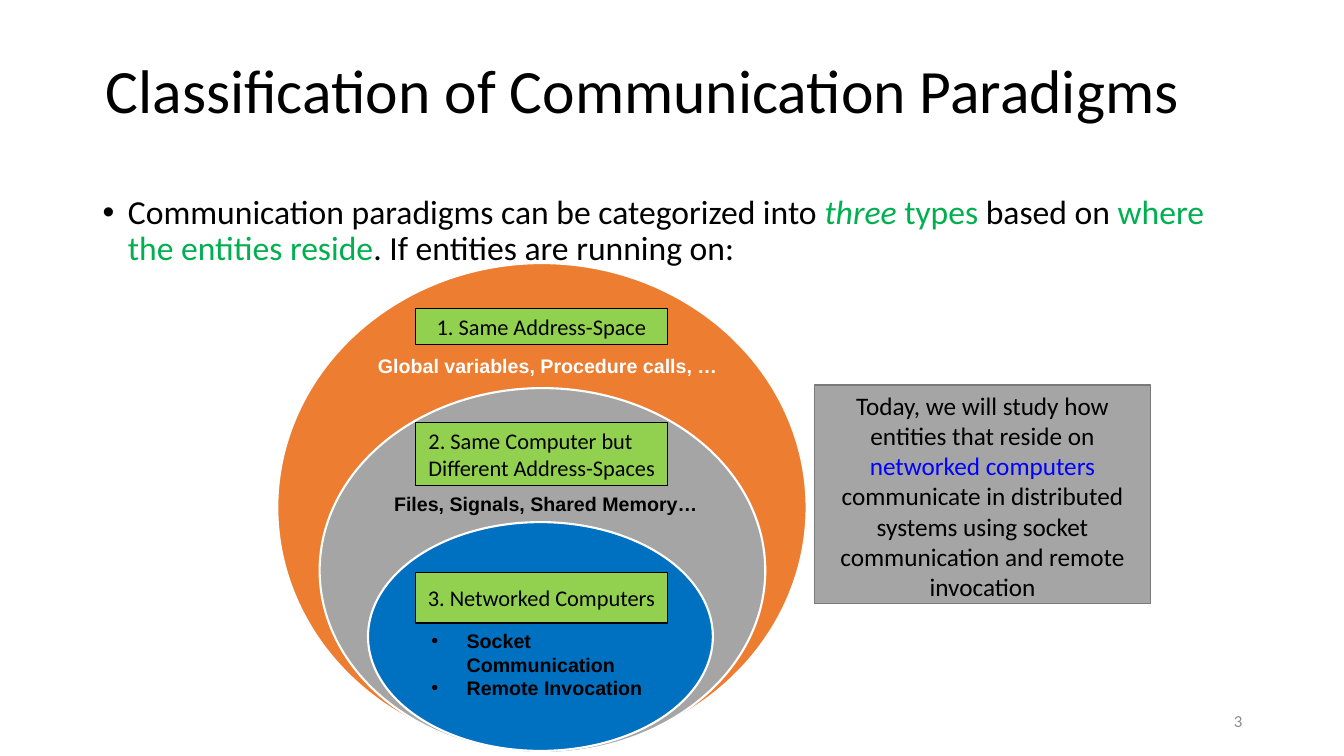
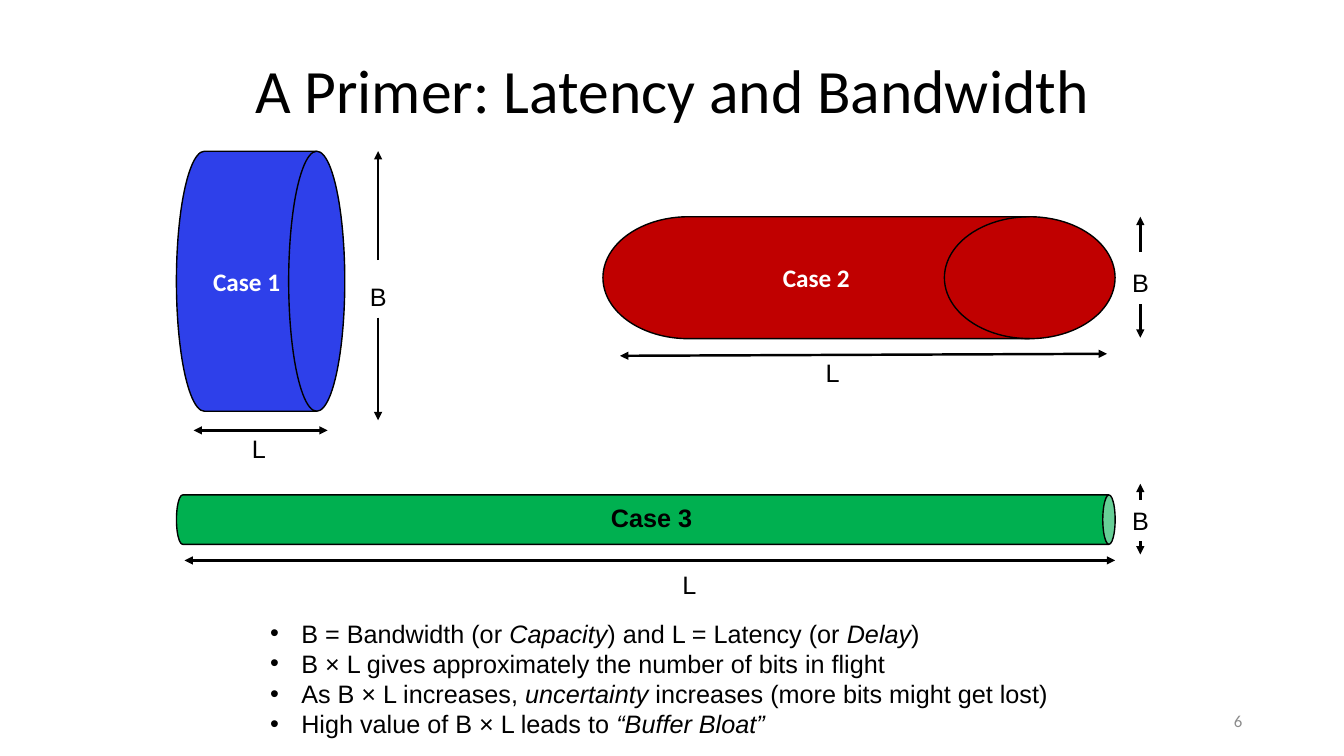
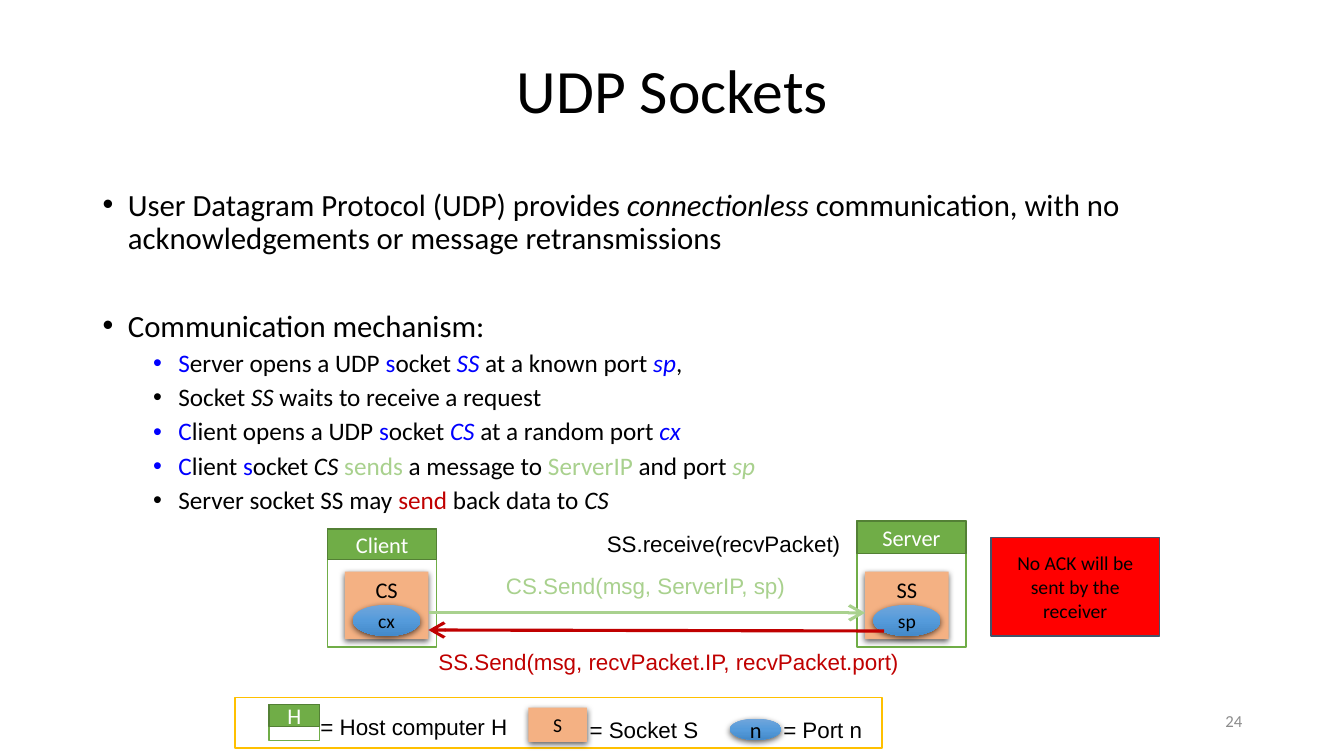
from dataclasses import dataclass
from typing import NamedTuple, Optional

from lxml import etree
from pptx import Presentation
from pptx.dml.color import RGBColor
from pptx.enum.shapes import MSO_CONNECTOR, MSO_SHAPE
from pptx.enum.text import MSO_ANCHOR, MSO_AUTO_SIZE, PP_ALIGN
from pptx.oxml.ns import qn
from pptx.shapes.autoshape import Shape
from pptx.slide import Slide
from pptx.util import Inches, Pt

RECT, OVAL = MSO_SHAPE.RECTANGLE, MSO_SHAPE.OVAL
CAN, DRUM = MSO_SHAPE.CAN, MSO_SHAPE.FLOWCHART_DIRECT_ACCESS_STORAGE
LEFT, CENTER, RIGHT = PP_ALIGN.LEFT, PP_ALIGN.CENTER, PP_ALIGN.RIGHT
TOP, MIDDLE = MSO_ANCHOR.TOP, MSO_ANCHOR.MIDDLE
TITLE_ONLY = 5


@dataclass(frozen=True)
class Theme:
    body_font: str = "Calibri"
    label_font: str = "Arial"
    black: str = "000000"
    white: str = "FFFFFF"
    page_gray: str = "8C8C8C"
    orange: str = "ED7D31"
    gray: str = "A5A5A5"
    gray_edge: str = "7A7A7A"
    ocean: str = "0070C0"
    tag_green: str = "92D050"
    green: str = "00B050"
    link_blue: str = "0000FF"
    drum_blue: str = "2E40EA"
    dark_red: str = "C00000"
    red: str = "FF0000"
    slate: str = "44546A"
    host: str = "70AD47"
    host_edge: str = "538035"
    pale_green: str = "A9D18E"
    peach: str = "F4B183"
    gold: str = "FFC000"
    port_stops: tuple = ((0, "71A6DB"), (50, "559BDB"), (100, "448ACA"))
    title: float = 44
    lead: float = 24
    body: float = 22
    text: float = 18
    label: float = 16
    small: float = 14
    page: float = 12


T = Theme()


class Box(NamedTuple):
    x: float
    y: float
    w: float
    h: float


class Run(NamedTuple):
    text: str
    color: Optional[str] = None
    italic: bool = False


class Para(NamedTuple):
    runs: tuple
    margin: float = 0  # hanging indent of a bullet, in inches
    hang: float = 0
    before: float = 0
    spacing: float = 1
    size: Optional[float] = None


class Style(NamedTuple):
    size: float
    color: str = T.black
    font: str = T.body_font
    bold: bool = False
    align: PP_ALIGN = CENTER
    anchor: MSO_ANCHOR = MIDDLE
    left_inset: float = 0.1
    right_inset: float = 0.1


class Ring(NamedTuple):
    box: Box
    fill: str


class Span(NamedTuple):
    """A horizontal latency arrow with its label."""
    x1: float
    y1: float
    x2: float
    y2: float
    label_x: float
    label_y: float


class Gauge(NamedTuple):
    """A vertical bandwidth arrow, split around its label."""
    x: float
    top: float
    gap_top: float
    gap_bottom: float
    bottom: float
    label_y: float


TAG = Style(T.label, left_inset=0, right_inset=0)
CASE = Style(T.text, T.white, bold=True, left_inset=0, right_inset=0)
LETTER = Style(T.text, font=T.label_font, align=LEFT, anchor=TOP)
CALL = LETTER._replace(size=T.label)
METHOD = LETTER._replace(size=T.small, bold=True)
BODY = Style(T.body, align=LEFT, anchor=TOP)


def plain(text: str) -> list[Para]:
    return [Para((Run(text),))]


def bullet(*runs: Run, margin: float = 0.25, hang: float = 0.25, before: float = 0,
           spacing: float = 0.9, size: Optional[float] = None) -> Para:
    return Para(runs, margin, hang, before, spacing, size)


def write(sp: Shape, paras: list[Para], style: Style, wrap: bool = True) -> None:
    tf = sp.text_frame
    tf.word_wrap = wrap
    tf.auto_size = MSO_AUTO_SIZE.NONE
    tf.vertical_anchor = style.anchor
    tf.margin_left = Inches(style.left_inset)
    tf.margin_right = Inches(style.right_inset)
    tf.margin_top = tf.margin_bottom = Inches(0.05)
    for i, para in enumerate(paras):
        p = tf.paragraphs[0] if i == 0 else tf.add_paragraph()
        p.alignment = style.align
        p.line_spacing = para.spacing
        p.space_before = Pt(para.before)
        if para.hang:
            pPr = p._p.get_or_add_pPr()
            pPr.set("marL", str(Inches(para.margin)))
            pPr.set("indent", str(-Inches(para.hang)))
            etree.SubElement(pPr, qn("a:buFont"), typeface="Arial")
            etree.SubElement(pPr, qn("a:buChar"), char="•")
        for run in para.runs:
            r = p.add_run()
            r.text = run.text
            r.font.size = Pt(para.size or style.size)
            r.font.name = style.font
            r.font.bold = style.bold
            r.font.italic = run.italic
            r.font.color.rgb = RGBColor.from_string(run.color or style.color)


def add_text(s: Slide, box: Box, paras: list[Para], style: Style, wrap: bool = True) -> None:
    sp = s.shapes.add_textbox(*map(Inches, box))
    write(sp, paras, style, wrap)


def add_shape(s: Slide, kind: MSO_SHAPE, box: Box, fill: Optional[str] = None,
              line: Optional[str] = None, width: float = 1) -> Shape:
    sp = s.shapes.add_shape(kind, *map(Inches, box))
    sp.shadow.inherit = False
    if fill:
        sp.fill.solid()
        sp.fill.fore_color.rgb = RGBColor.from_string(fill)
    if line:
        sp.line.color.rgb = RGBColor.from_string(line)
        sp.line.width = Pt(width)
    else:
        sp.line.fill.background()
    return sp


def drop_shadow(sp: Shape) -> None:
    effects = sp._element.spPr.find(qn("a:effectLst"))
    shadow = etree.SubElement(effects, qn("a:outerShdw"), blurRad=str(Pt(4.5)),
                              dist=str(Pt(1.5)), dir="5400000", rotWithShape="0")
    color = etree.SubElement(shadow, qn("a:srgbClr"), val=T.black)
    etree.SubElement(color, qn("a:alpha"), val="63000")


def add_arrow(s: Slide, x1: float, y1: float, x2: float, y2: float, color: str = T.black,
              width: float = 1.75, end: str = "triangle", size: str = "med",
              both: bool = False) -> None:
    cn = s.shapes.add_connector(MSO_CONNECTOR.STRAIGHT, *map(Inches, (x1, y1, x2, y2)))
    cn.line.color.rgb = RGBColor.from_string(color)
    cn.line.width = Pt(width)
    ln = cn.line._get_or_add_ln()
    for tag in ("a:headEnd", "a:tailEnd") if both else ("a:tailEnd",):
        etree.SubElement(ln, qn(tag), type=end, w=size, len=size)
    etree.SubElement(cn._element.spPr, qn("a:effectLst"))


def new_slide(prs: Presentation, title: str, number: int,
              box: Box = Box(2.17, 0.35, 9, 1.15)) -> Slide:
    s = prs.slides.add_slide(prs.slide_layouts[TITLE_ONLY])
    sp = s.shapes.title
    sp.left, sp.top, sp.width, sp.height = map(Inches, box)
    write(sp, [Para((Run(title),), spacing=0.9)], Style(T.title))
    add_text(s, Box(9.42, 6.95, 3, 0.4), plain(str(number)),
             Style(T.page, T.page_gray, align=RIGHT))
    return s


def add_host(s: Slide, box: Box, bar_height: float, name: str) -> None:
    add_shape(s, RECT, box, T.white, T.host)
    bar = add_shape(s, RECT, box._replace(h=bar_height), T.host, T.host_edge)
    write(bar, plain(name), Style(T.label, T.white))


def add_socket(s: Slide, box: Box, name: str, size: float = T.label) -> None:
    sp = add_shape(s, RECT, box, T.peach)
    drop_shadow(sp)
    write(sp, plain(name), Style(size, anchor=TOP))


def add_port(s: Slide, box: Box, name: str, size: float = T.small) -> None:
    sp = add_shape(s, OVAL, box)
    sp.fill.gradient()
    sp.fill.gradient_angle = 270
    stops = sp._element.spPr.find(qn("a:gradFill")).find(qn("a:gsLst"))
    for stop in list(stops):
        stops.remove(stop)
    for position, color in T.port_stops:
        stop = etree.SubElement(stops, qn("a:gs"), pos=str(position * 1000))
        etree.SubElement(stop, qn("a:srgbClr"), val=color)
    drop_shadow(sp)
    write(sp, plain(name), Style(size))


def paradigms_slide(prs: Presentation) -> None:
    s = new_slide(prs, "Classification of Communication Paradigms", 3,
                  Box(0.92, 0.35, 10.91, 1.15))
    rings = [
        Ring(Box(2.75, 2.61, 5.25, 4.85), T.orange),
        Ring(Box(3.17, 3.85, 4.42, 3.62), T.gray),
        Ring(Box(3.65, 5.18, 3.42, 2.27), T.ocean),
    ]
    for ring in rings:
        add_shape(s, OVAL, ring.box, ring.fill, T.white, 1.5)

    add_text(s, Box(0.92, 1.89, 11.25, 0.92), [bullet(
        Run("Communication paradigms can be categorized into "),
        Run("three", T.green, True),
        Run(" types ", T.green),
        Run("based on "),
        Run("where the entities reside", T.green),
        Run(". If entities are running on:"),
    )], BODY._replace(size=T.lead))

    two_lines = TAG._replace(align=LEFT, left_inset=0.13)
    tags = [
        (3.06, 0.36, "1. Same Address-Space", TAG),
        (4.19, 0.63, "2. Same Computer but Different Address-Spaces", two_lines),
        (5.68, 0.5, "3. Networked Computers", TAG),
    ]
    for y, h, text, style in tags:
        sp = add_shape(s, RECT, Box(4.12, y, 2.5, h), T.tag_green, T.black)
        write(sp, plain(text), style)

    add_text(s, Box(3.65, 3.46, 3.67, 0.34), plain("Global variables, Procedure calls, …"),
             METHOD._replace(color=T.white))
    add_text(s, Box(3.81, 4.83, 3.25, 0.34), plain("Files, Signals, Shared Memory…"), METHOD)
    add_text(s, Box(4.18, 6.19, 2.57, 0.8),
             [bullet(Run(text), margin=0.35, hang=0.35, spacing=1)
              for text in ("Socket Communication", "Remote Invocation")], METHOD)

    today = add_shape(s, RECT, Box(8.08, 3.82, 3.33, 2.17), T.gray, T.gray_edge)
    write(today, [Para((
        Run("Today, we will study how entities that reside on "),
        Run("networked computers", T.link_blue),
        Run(" communicate in distributed systems using socket communication "
            "and remote invocation"),
    ))], Style(T.text, anchor=TOP))


def latency_slide(prs: Presentation) -> None:
    s = new_slide(prs, "A Primer: Latency and Bandwidth", 6)
    drums = [
        (Box(1.75, 1.5, 1.67, 2.58), T.drum_blue, "Case 1"),
        (Box(5.98, 2.15, 5.08, 1.21), T.dark_red, "Case 2"),
    ]
    for box, fill, name in drums:
        write(add_shape(s, DRUM, box, fill, T.black), plain(name), CASE)

    pipe = add_shape(s, CAN, Box(6.16, 0.5, 0.49, 9.31), T.green, T.black)
    pipe.rotation = 90
    add_text(s, Box(5.96, 4.93, 1.02, 0.4), plain("Case 3"), LETTER._replace(bold=True), False)

    gauges = [
        Gauge(3.75, 1.5, 2.58, 3.15, 4.17, 2.74),
        Gauge(11.31, 2.15, 2.5, 3.02, 3.35, 2.6),
        Gauge(11.31, 4.8, 4.96, 5.37, 5.5, 4.96),
    ]
    for g in gauges:
        add_arrow(s, g.x, g.gap_top, g.x, g.top)
        add_arrow(s, g.x, g.gap_bottom, g.x, g.bottom)
        add_text(s, Box(g.x - 0.18, g.label_y, 0.37, 0.4), plain("B"), LETTER, False)

    spans = [
        Span(1.92, 4.27, 3.25, 4.27, 2.4, 4.25),
        Span(6.15, 3.53, 10.98, 3.51, 8.09, 3.5),
        Span(1.83, 5.56, 11.06, 5.56, 6.67, 5.6),
    ]
    for sn in spans:
        add_arrow(s, sn.x1, sn.y1, sn.x2, sn.y2, both=True)
        add_text(s, Box(sn.label_x, sn.label_y, 0.34, 0.4), plain("L"), LETTER, False)

    notes = [
        (Run("B = Bandwidth (or "), Run("Capacity", italic=True),
         Run(") and L = Latency (or "), Run("Delay", italic=True), Run(")")),
        (Run("B × L gives approximately the number of bits in flight"),),
        (Run("As B × L increases, "), Run("uncertainty", italic=True),
         Run(" increases (more bits might get lost)")),
        (Run("High value of B × L leads to "), Run("“Buffer Bloat”", italic=True)),
    ]
    add_text(s, Box(2.58, 6.08, 8.72, 1.35),
             [bullet(*runs, margin=0.31, hang=0.31, spacing=1) for runs in notes], LETTER)


def udp_slide(prs: Presentation) -> None:
    s = new_slide(prs, "UDP Sockets", 24)
    blue, pale = T.link_blue, T.pale_green
    steps = [
        (Run("S", blue), Run("erver opens a UDP "), Run("s", blue), Run("ocket "),
         Run("SS", blue, True), Run(" at a known port "), Run("sp", blue, True), Run(",")),
        (Run("Socket "), Run("SS", italic=True), Run(" waits to receive a request")),
        (Run("C", blue), Run("lient opens a UDP "), Run("s", blue), Run("ocket "),
         Run("CS", blue, True), Run(" at a random port "), Run("cx", blue, True)),
        (Run("C", blue), Run("lient "), Run("s", blue), Run("ocket "),
         Run("CS ", italic=True), Run("sends", pale), Run(" a message to "),
         Run("ServerIP", pale), Run(" and port "), Run("sp", pale, True)),
        (Run("Server socket SS may "), Run("send", T.dark_red), Run(" back data to "),
         Run("CS", italic=True)),
    ]
    add_text(s, Box(0.92, 1.83, 11.75, 3.35), [
        bullet(Run("User Datagram Protocol (UDP) provides "),
               Run("connectionless ", italic=True),
               Run("communication, with no acknowledgements or message retransmissions")),
        bullet(Run("Communication mechanism:"), before=39),
        *(bullet(*runs, margin=0.75, before=5, size=T.text) for runs in steps),
    ], BODY)

    add_host(s, Box(8.5, 5.17, 1.08, 1.25), 0.32, "Server")
    add_host(s, Box(3.25, 5.25, 1.08, 1.17), 0.3, "Client")
    for x, socket, port in ((8.58, "SS", "sp"), (3.42, "CS", "cx")):
        add_socket(s, Box(x, 5.67, 0.83, 0.67), socket)
        add_port(s, Box(x + 0.08, 6, 0.67, 0.31), port)
    add_arrow(s, 4.25, 6.08, 8.58, 6.08, pale, 2.25, "arrow", "lg")
    add_arrow(s, 8.77, 6.26, 4.25, 6.25, T.dark_red, 2.25, "arrow", "lg")

    add_shape(s, RECT, Box(2.33, 6.92, 6.42, 0.5), T.white, T.gold)
    add_host(s, Box(2.67, 6.99, 0.5, 0.36), 0.22, "H")
    add_socket(s, Box(5.24, 7.02, 0.58, 0.34), "S", T.small)
    add_port(s, Box(7.24, 7.13, 0.51, 0.21), "n", T.label)

    captions = [
        (4.92, 5.63, 3.08, "CS.Send(msg, ServerIP, sp)", pale),
        (4.25, 6.38, 5.17, "SS.Send(msg, recvPacket.IP, recvPacket.port)", T.dark_red),
        (5.92, 5.21, 2.58, "SS.receive(recvPacket)", T.black),
        (3.08, 7.03, 2.08, "= Host computer H", T.black),
        (5.75, 7.06, 1.5, "= Socket S", T.black),
        (7.67, 7.06, 1.25, "= Port n", T.black),
    ]
    for x, y, w, text, color in captions:
        add_text(s, Box(x, y, w, 0.37), plain(text), CALL._replace(color=color))

    no_ack = add_shape(s, RECT, Box(9.83, 5.33, 1.67, 0.98), T.red, T.slate)
    write(no_ack, plain("No ACK will be sent by the receiver"), Style(T.small))


def main() -> None:
    prs = Presentation()
    prs.slide_width, prs.slide_height = Inches(13.33), Inches(7.5)
    paradigms_slide(prs)
    latency_slide(prs)
    udp_slide(prs)
    prs.save("out.pptx")


if __name__ == "__main__":
    main()
